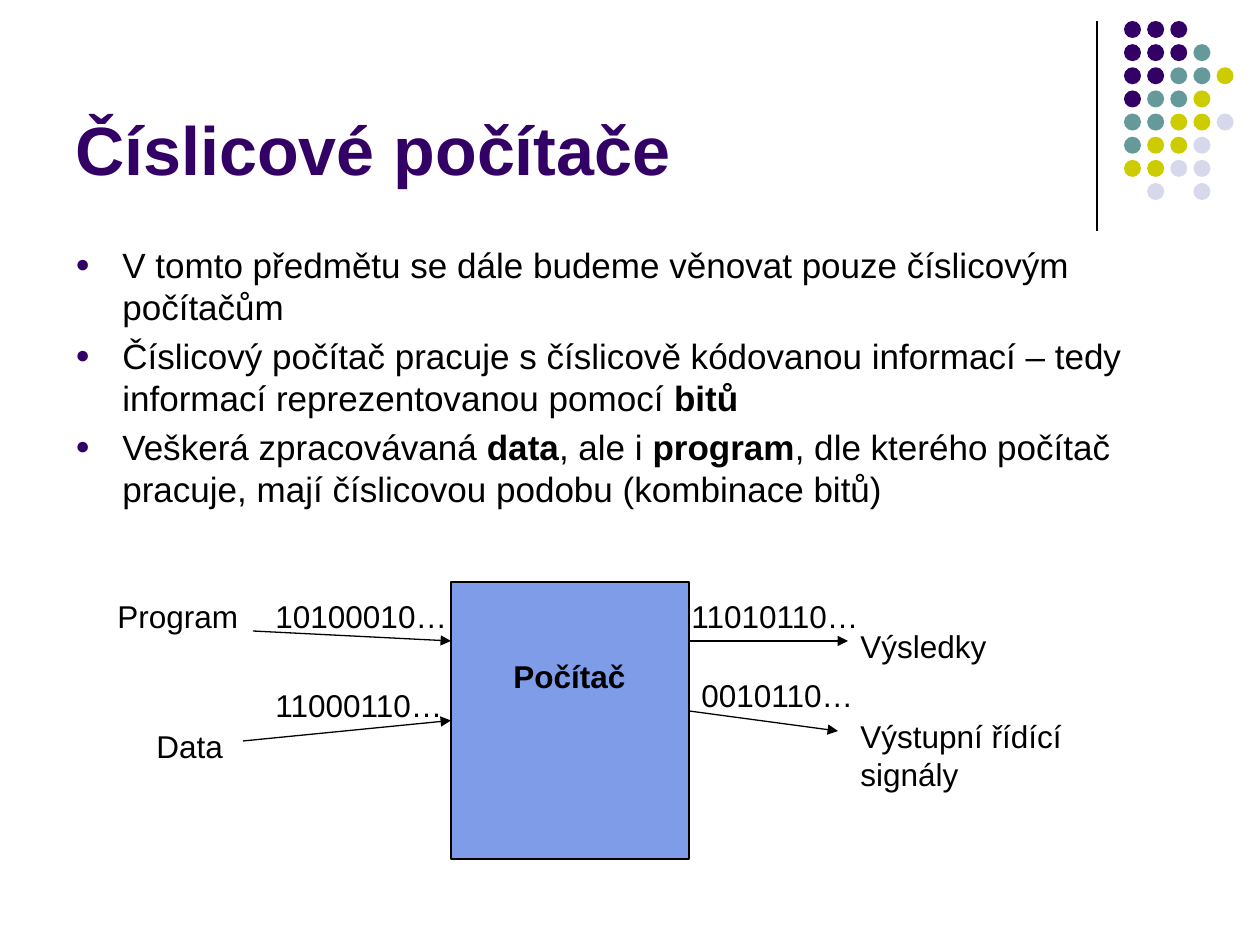
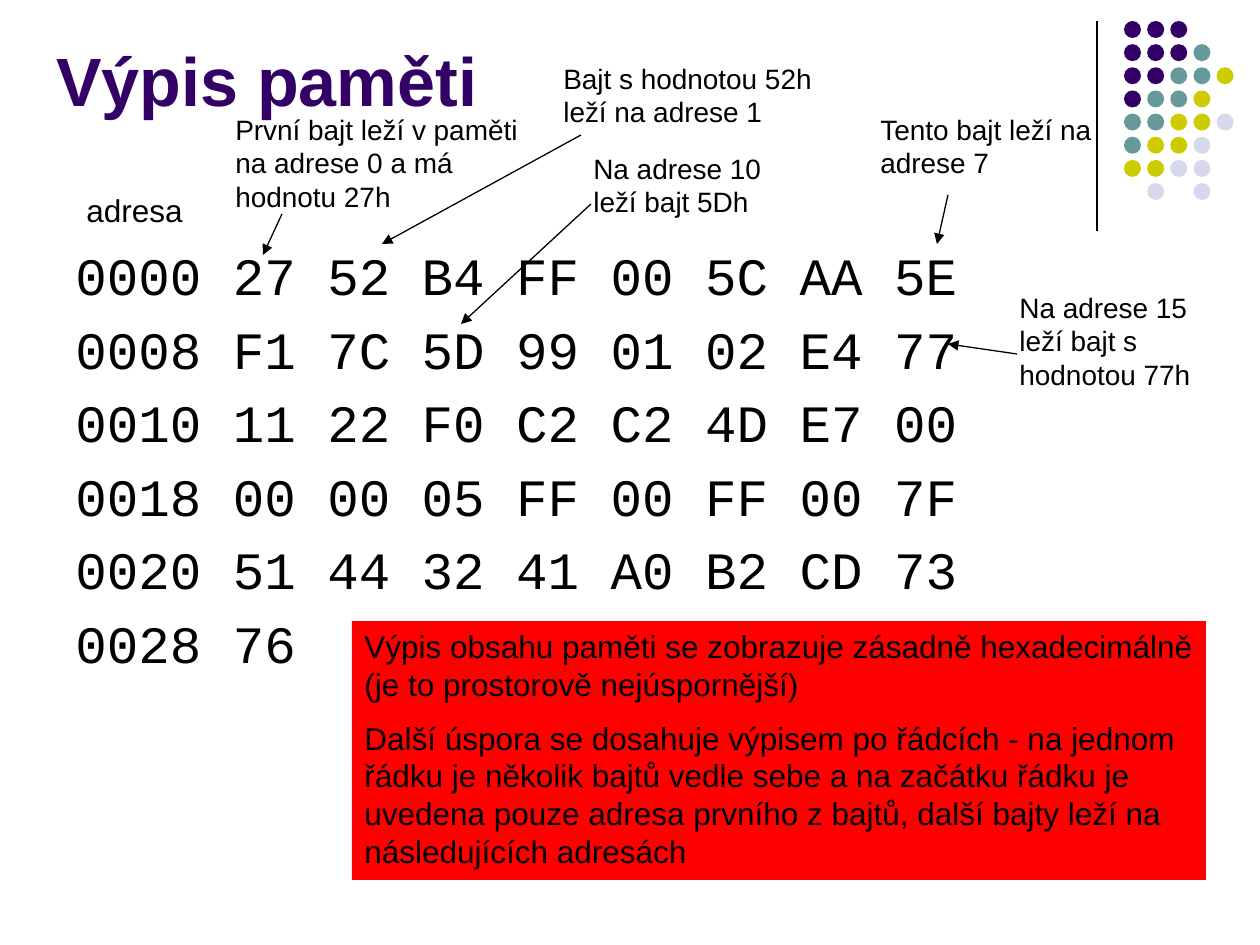
import collections

import lxml.etree
import pptx
import pptx.dml.color
import pptx.enum.shapes
import pptx.enum.text
import pptx.oxml.ns
import pptx.util

PX_PER_INCH = 126
COLOURS = {
    "text": "000000",
    "violet": "330066",
    "teal": "669999",
    "olive": "CCCC00",
    "lavender": "D8D8EC",
    "computer": "7E9CE8",
    "note": "FF0000",
}
DOT_COLOURS = {"V": "violet", "T": "teal", "O": "olive", "L": "lavender"}
DOT_ROWS = ["VVV", "VVVT", "VVTTO", "VTTO", "TTOOL", "TOOL", "OOLL", " L L"]

Box = collections.namedtuple("Box", "left top width height")


def px(length):
    return pptx.util.Emu(round(length * 914400 / PX_PER_INCH))


def inside(area, left, top, width, height):
    """Turn a place within an area into a place on the page."""
    return Box(area.left + left, area.top + top, width, height)


def colour(name):
    return pptx.dml.color.RGBColor.from_string(COLOURS[name])


def add_xml(parent, tag, **attributes):
    return lxml.etree.SubElement(parent, pptx.oxml.ns.qn(tag), attributes)


def add_preset(shapes, kind, box, fill, outlined=False):
    shape = shapes.add_shape(kind, *map(px, box))
    shape.shadow.inherit = False
    shape.fill.solid()
    shape.fill.fore_color.rgb = colour(fill)
    if outlined:
        shape.line.color.rgb = colour("text")
        shape.line.width = pptx.util.Pt(0.75)
    else:
        shape.line.fill.background()
    return shape


def add_line(page, area, ends, arrow=True):
    x1, y1, x2, y2 = ends
    line = page.shapes.add_connector(
        pptx.enum.shapes.MSO_CONNECTOR.STRAIGHT,
        px(area.left + x1), px(area.top + y1),
        px(area.left + x2), px(area.top + y2))
    line.line.color.rgb = colour("text")
    line.line.width = pptx.util.Pt(0.75)
    if arrow:
        add_xml(line.line._get_or_add_ln(), "a:tailEnd", type="triangle")
    add_xml(line._element.spPr, "a:effectLst")
    return line


def add_bullet(properties):
    bullet_colour = add_xml(properties, "a:buClr")
    add_xml(bullet_colour, "a:srgbClr", val=COLOURS["violet"])
    add_xml(properties, "a:buSzPct", val="70000")
    add_xml(properties, "a:buFont", typeface="Arial")
    add_xml(properties, "a:buChar", char="●")


def add_text(page, box, paragraphs, size=18, font="Arial", ink="text",
             bold=False, gap=0.5, hanging=0, bulleted=False):
    """Add a text box; **marks** set bold, gap is a share of the size."""
    text_box = page.shapes.add_textbox(*map(px, box))
    frame = text_box.text_frame
    frame.word_wrap = True
    for index, text in enumerate(paragraphs):
        para = frame.paragraphs[0] if index == 0 else frame.add_paragraph()
        properties = para._p.get_or_add_pPr()
        if hanging:
            properties.set("marL", str(px(hanging)))
            properties.set("indent", str(-px(hanging)))
        if bulleted:
            add_bullet(properties)
        if index:
            para.space_before = pptx.util.Pt(size * gap)
        para.font.name = font
        para.font.size = pptx.util.Pt(size)
        para.font.bold = bold
        para.font.color.rgb = colour(ink)
        for part, words in enumerate(text.split("**")):
            if words:
                span = para.add_run()
                span.text = words
                if part % 2:
                    span.font.bold = True
    return text_box


def add_corner(page, area):
    """Draw the vertical rule and the dot pattern in the top right corner."""
    add_line(page, area, (0, 0, 0, area.height), arrow=False)
    dots = page.shapes.add_group_shape()
    first, pitch, diameter = 27, 162 / 7, 17
    for row, pattern in enumerate(DOT_ROWS):
        for column, key in enumerate(pattern):
            if key != " ":
                place = inside(area, first + column * pitch, row * pitch,
                               diameter, diameter)
                add_preset(dots.shapes, pptx.enum.shapes.MSO_SHAPE.OVAL,
                           place, DOT_COLOURS[key])


def add_page(deck, title, title_box):
    page = deck.slides.add_slide(deck.slide_layouts[6])
    add_corner(page, Box(1097, 21, 136, 210))
    heading = add_text(page, title_box, [title], size=39, ink="violet", bold=True)
    heading.text_frame.vertical_anchor = pptx.enum.text.MSO_ANCHOR.BOTTOM
    return page


def add_computer_diagram(page, area):
    computer = add_preset(page.shapes, pptx.enum.shapes.MSO_SHAPE.RECTANGLE,
                          inside(area, 346, 0, 238, 277), "computer", outlined=True)
    add_text(page, inside(area, 396, 69, 159, 50), ["Počítač"], bold=True)

    labels = [
        ("Program", 0, 9, 198),
        ("Data", 39, 139, 100),
        ("10100010…", 158, 9, 198),
        ("11000110…", 158, 98, 198),
        ("11010110…", 574, 9, 198),
        ("0010110…", 584, 88, 198),
        ("Výsledky", 743, 39, 189),
        ("Výstupní řídící signály", 743, 129, 248),
    ]
    for label, left, top, width in labels:
        add_text(page, inside(area, left, top, width, 50), [label])

    for ends in [(148, 49, 346, 59), (584, 59, 743, 59), (584, 129, 733, 149)]:
        add_line(page, area, ends)
    data_arrow = add_line(page, area, (138, 159, 346, 139))
    data_arrow.end_connect(computer, 1)


def add_memory_dump(page, area):
    rows = [
        "0000 27 52 B4 FF 00 5C AA 5E",
        "0008 F1 7C 5D 99 01 02 E4 77",
        "0010 11 22 F0 C2 C2 4D E7 00",
        "0018 00 00 05 FF 00 FF 00 7F",
        "0020 51 44 32 41 A0 B2 CD 73",
        "0028 76",
    ]
    add_text(page, inside(area, 0, 182, 1134, 607), rows, size=30,
             font="Courier New", gap=0.2, hanging=47)
    add_text(page, inside(area, 11, 130, 169, 50), ["adresa"])

    callouts = [
        ("První bajt leží v paměti na adrese 0 a má hodnotu 27h",
         (160, 51, 328, 113), (219, 159, 200, 200)),
        ("Bajt s hodnotou 52h leží na adrese 1",
         (488, 0, 277, 81), (518, 80, 319, 189)),
        ("Tento bajt leží na adrese 7",
         (805, 51, 238, 81), (885, 140, 874, 189)),
        ("Na adrese 15 leží bajt s hodnotou 77h",
         (944, 229, 218, 113), (954, 299, 885, 289)),
        ("Na adrese 10 leží bajt 5Dh",
         (518, 90, 238, 81), (528, 149, 398, 269)),
    ]
    for words, place, arrow in callouts:
        add_text(page, inside(area, *place), [words], size=16)
        add_line(page, area, arrow)


def add_note(page, box):
    note = add_text(page, box, [
        "Výpis obsahu paměti se zobrazuje zásadně hexadecimálně "
        "(je to prostorově nejúspornější)",
        "Další úspora se dosahuje výpisem po řádcích - na jednom řádku je "
        "několik bajtů vedle sebe a na začátku řádku je uvedena pouze adresa "
        "prvního z bajtů, další bajty leží na následujících adresách",
    ])
    note.fill.solid()
    note.fill.fore_color.rgb = colour("note")


def build_computers_page(deck):
    page = add_page(deck, "Číslicové počítače", Box(63, 16, 1040, 179))
    add_text(page, Box(63, 237, 1134, 315), [
        "V tomto předmětu se dále budeme věnovat pouze číslicovým počítačům",
        "Číslicový počítač pracuje s číslicově kódovanou informací – tedy "
        "informací reprezentovanou pomocí **bitů**",
        "Veškerá zpracovávaná **data**, ale i **program**, dle kterého "
        "počítač pracuje, mají číslicovou podobu (kombinace bitů)",
    ], size=20, gap=0.2, hanging=47, bulleted=True)
    add_computer_diagram(page, Box(105, 582, 991, 277))


def build_memory_page(deck):
    page = add_page(deck, "Výpis paměti", Box(44, 26, 1040, 100))
    add_memory_dump(page, Box(63, 55, 1162, 789))
    add_note(page, Box(352, 621, 854, 259))


def main():
    deck = pptx.Presentation()
    deck.slide_width = px(1260)
    deck.slide_height = px(945)
    build_computers_page(deck)
    build_memory_page(deck)
    deck.save("out.pptx")


if __name__ == "__main__":
    main()
